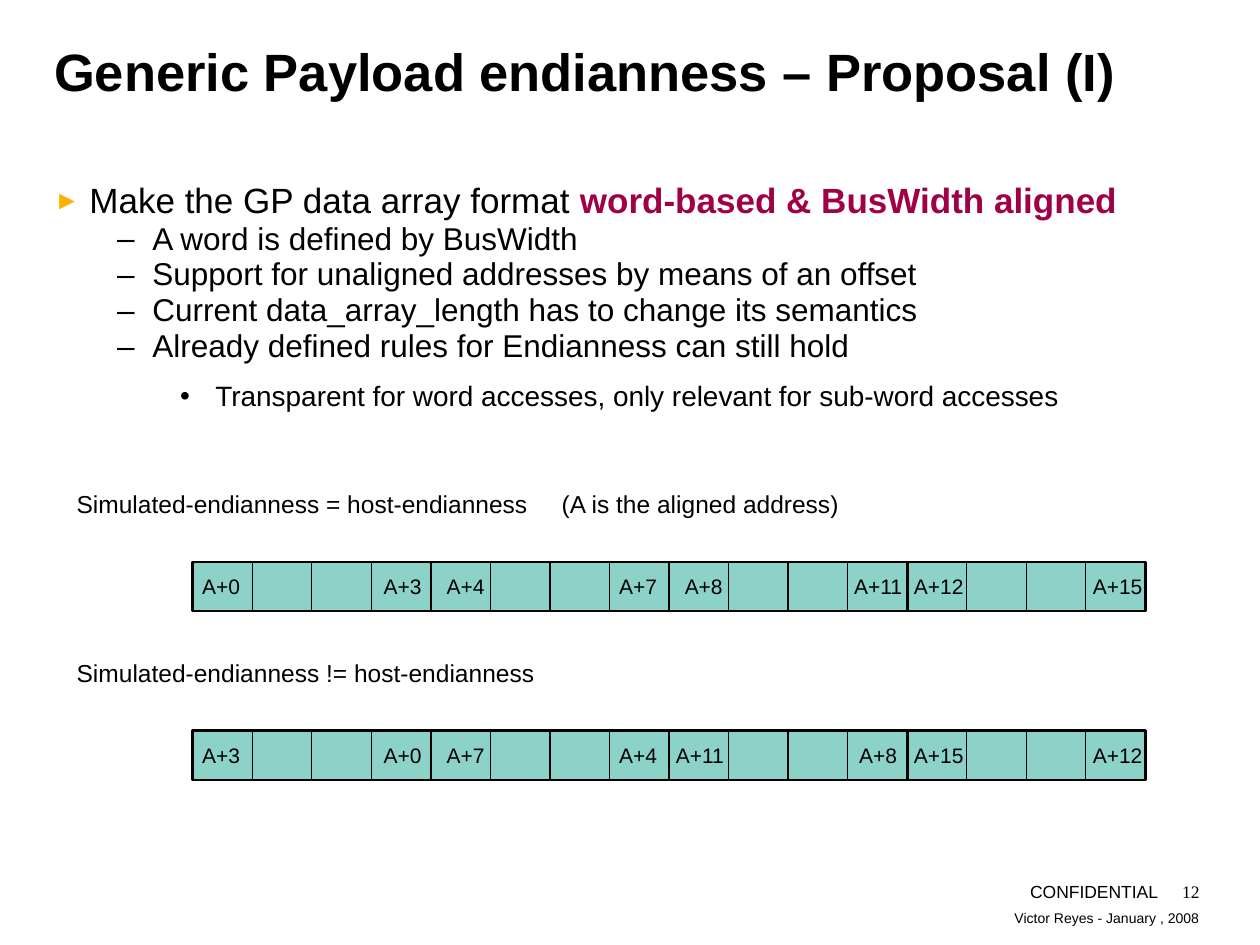
from dataclasses import dataclass
from typing import Optional

from lxml.etree import SubElement
from pptx import Presentation
from pptx.dml.color import RGBColor
from pptx.enum.shapes import MSO_CONNECTOR, MSO_SHAPE
from pptx.enum.text import MSO_ANCHOR, PP_ALIGN
from pptx.oxml.ns import qn
from pptx.util import Inches, Pt

COLORS = {"ink": "000000", "accent": "A00046", "marker": "FAB400", "cell": "8CD2C8"}
BYTES_PER_WORD = 4
WORD_WIDTH, WORD_HEIGHT = 1.89, 0.39
ARRAY_LEFT = 1.53


@dataclass(frozen=True)
class Box:
    left: float
    top: float
    width: float
    height: float


@dataclass(frozen=True)
class Run:
    text: str
    size: float
    bold: bool = False
    color: str = "ink"
    font: str = "Arial"


@dataclass(frozen=True)
class Bullet:
    marker: str
    indent: float
    color: str = "ink"
    scale: int = 100


@dataclass(frozen=True)
class Line:
    runs: tuple[Run, ...]
    bullet: Optional[Bullet] = None
    align: PP_ALIGN = PP_ALIGN.LEFT
    space_before: float = 0
    tab: Optional[float] = None


@dataclass(frozen=True)
class Slot:
    left: float
    width: float


@dataclass(frozen=True)
class ByteArray:
    caption: str
    caption_width: float
    top: float
    addresses: tuple[int, ...]
    slots: tuple[Slot, ...]


SHORT, LONG = 0.39, 0.52
SLOTS = (
    Slot(1.56, SHORT), Slot(3, SHORT), Slot(3.5, SHORT), Slot(4.87, SHORT),
    Slot(5.39, SHORT), Slot(6.71, LONG), Slot(7.19, LONG), Slot(8.61, LONG),
)
ARRAYS = (
    ByteArray("Simulated-endianness = host-endianness\t(A is the aligned address)",
              6.46, 4.46, (0, 3, 4, 7, 8, 11, 12, 15), SLOTS),
    ByteArray("Simulated-endianness != host-endianness",
              5.75, 5.8, (3, 0, 7, 4, 11, 8, 15, 12),
              SLOTS[:4] + (Slot(5.32, 0.47),) + SLOTS[5:]),
)

ARROW = Bullet("►", 0.28, "marker", 75)
DASH = Bullet("–", 0.78)
DOT = Bullet("•", 1.28)
DETAILS = (
    "A word is defined by BusWidth",
    "Support for unaligned addresses by means of an offset",
    "Current data_array_length has to change its semantics",
    "Already defined rules for Endianness can still hold",
)
PROPOSAL = (
    Line((Run("Make the GP data array format ", 20),
          Run("word-based & BusWidth aligned", 20, True, "accent")), ARROW),
    *(Line((Run(detail, 18),), DASH) for detail in DETAILS),
    Line((Run("Transparent for word accesses, only relevant for sub-word accesses", 16),),
         DOT, space_before=9),
)


def rgb(name: str) -> RGBColor:
    return RGBColor.from_string(COLORS[name])


def add_bullet(paragraph, bullet: Bullet) -> None:
    properties = paragraph._p.get_or_add_pPr()
    properties.set("marL", str(Inches(bullet.indent)))
    properties.set("indent", str(Inches(-0.28)))
    color = SubElement(properties, qn("a:buClr"))
    SubElement(color, qn("a:srgbClr"), val=COLORS[bullet.color])
    SubElement(properties, qn("a:buSzPct"), val=str(bullet.scale * 1000))
    SubElement(properties, qn("a:buFont"), typeface="Arial")
    SubElement(properties, qn("a:buChar"), char=bullet.marker)
    paragraph.line_spacing = 0.95


def add_tab(paragraph, position: float) -> None:
    stops = SubElement(paragraph._p.get_or_add_pPr(), qn("a:tabLst"))
    SubElement(stops, qn("a:tab"), pos=str(Inches(position)), algn="l")


def add_text(slide, box: Box, lines: tuple[Line, ...],
             inset: tuple[float, float] = (0, 0),
             anchor: MSO_ANCHOR = MSO_ANCHOR.TOP) -> None:
    frame = slide.shapes.add_textbox(
        Inches(box.left), Inches(box.top), Inches(box.width), Inches(box.height)
    ).text_frame
    frame.word_wrap = True
    frame.vertical_anchor = anchor
    frame.margin_left = frame.margin_right = Inches(inset[0])
    frame.margin_top = frame.margin_bottom = Inches(inset[1])
    for index, line in enumerate(lines):
        paragraph = frame.add_paragraph() if index else frame.paragraphs[0]
        if line.bullet:
            add_bullet(paragraph, line.bullet)
        if line.tab:
            add_tab(paragraph, line.tab)
        paragraph.alignment = line.align
        paragraph.space_before = Pt(line.space_before)
        for part in line.runs:
            run = paragraph.add_run()
            run.text = part.text
            run.font.name = part.font
            run.font.size = Pt(part.size)
            run.font.bold = part.bold
            run.font.color.rgb = rgb(part.color)


def add_word(slide, left: float, top: float) -> None:
    word = slide.shapes.add_group_shape()
    frame = word.shapes.add_shape(
        MSO_SHAPE.RECTANGLE, Inches(left), Inches(top),
        Inches(WORD_WIDTH), Inches(WORD_HEIGHT))
    frame.shadow.inherit = False
    frame.fill.solid()
    frame.fill.fore_color.rgb = rgb("cell")
    frame.line.color.rgb = rgb("ink")
    frame.line.width = Pt(1.5)
    for byte in range(1, BYTES_PER_WORD):
        x = Inches(left + byte * WORD_WIDTH / BYTES_PER_WORD)
        divider = word.shapes.add_connector(
            MSO_CONNECTOR.STRAIGHT, x, Inches(top), x, Inches(top + WORD_HEIGHT))
        divider.line.color.rgb = rgb("ink")
        divider.line.width = Pt(0.75)
        SubElement(divider._element.spPr, qn("a:effectLst"))


def add_byte_array(slide, array: ByteArray) -> None:
    caption = Line((Run(array.caption, 14),), tab=3.85 if "\t" in array.caption else None)
    add_text(slide, Box(0.51, array.top - 0.63, array.caption_width, 0.34),
             (caption,), (0.1, 0.05))
    for word in range(len(array.addresses) // 2):
        add_word(slide, ARRAY_LEFT + word * WORD_WIDTH, array.top)
    for address, slot in zip(array.addresses, array.slots):
        label = Line((Run(f"A+{address}", 12),), align=PP_ALIGN.CENTER)
        add_text(slide, Box(slot.left, array.top + 0.08, slot.width, 0.22),
                 (label,), (0.02, 0.01))


def add_footer(slide, box: Box, run: Run, anchor: MSO_ANCHOR = MSO_ANCHOR.BOTTOM) -> None:
    add_text(slide, box, (Line((run,), align=PP_ALIGN.RIGHT),), anchor=anchor)


def main() -> None:
    presentation = Presentation()
    presentation.slide_width = Inches(10)
    presentation.slide_height = Inches(7.5)
    slide = presentation.slides.add_slide(presentation.slide_layouts[6])
    add_footer(slide, Box(3.96, 7.18, 5.56, 0.17), Run("Victor Reyes - January , 2008", 8))
    add_footer(slide, Box(7.18, 6.99, 2.01, 0.17), Run("CONFIDENTIAL", 10))
    title = Run("Generic Payload endianness – Proposal (I)", 30, True)
    add_text(slide, Box(0.43, 0.31, 9.14, 1), (Line((title,)),))
    add_text(slide, Box(0.43, 1.44, 9.14, 1.84), PROPOSAL)
    for array in ARRAYS:
        add_byte_array(slide, array)
    add_footer(slide, Box(9.17, 6.99, 0.35, 0.17),
               Run("12", 10, font="Times New Roman"), MSO_ANCHOR.TOP)
    presentation.save("out.pptx")


if __name__ == "__main__":
    main()
